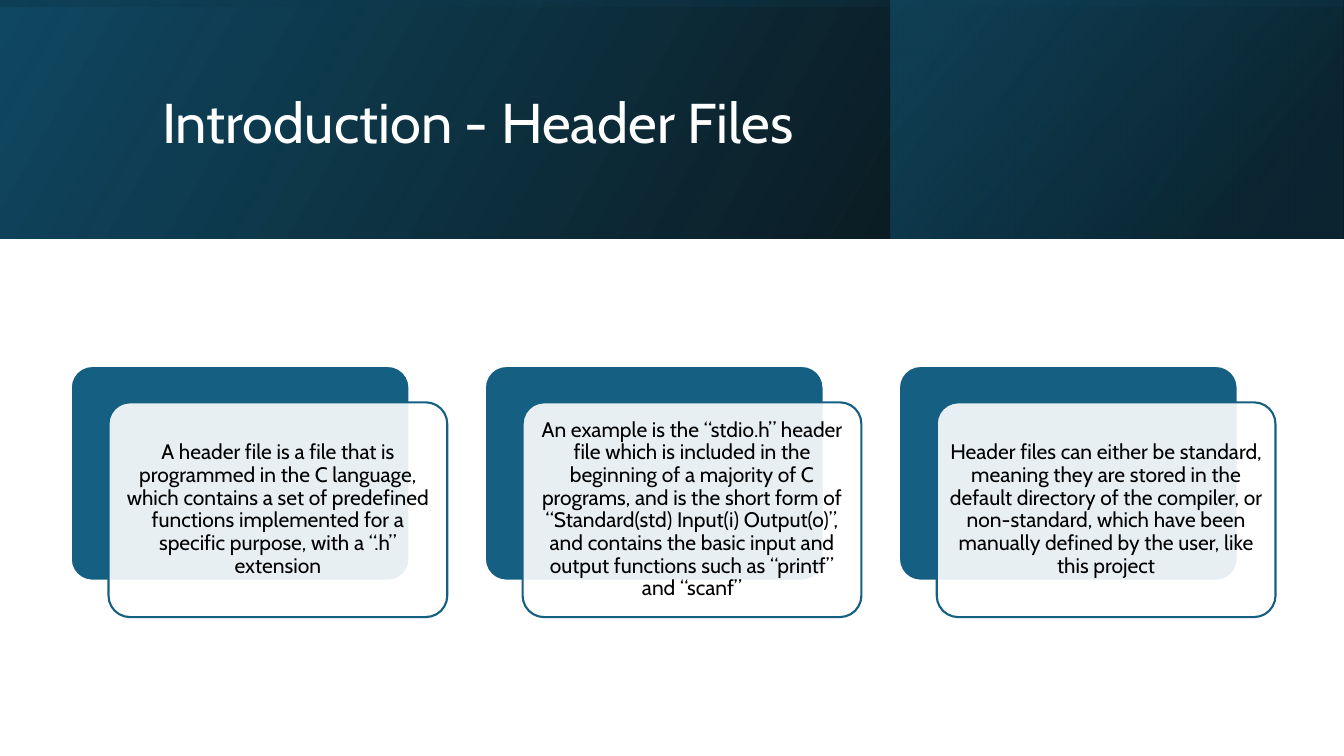
import dataclasses

import pptx
import pptx.dml.color
import pptx.enum.shapes
import pptx.enum.text
import pptx.oxml.ns
import pptx.shapes.autoshape
import pptx.util
from lxml import etree

Pt = pptx.util.Pt
Kind = pptx.enum.shapes.MSO_SHAPE
Align = pptx.enum.text.PP_ALIGN
Shape = pptx.shapes.autoshape.Shape

FONT = "Cabin"
COLORS = {
    "white": "FFFFFF",
    "black": "000000",
    "teal": "156082",
    "deep": "104862",
    "night": "0B3041",
}
WIDE, HIGH = 960, 540
BAND_HIGH = 170.6
CARD_LEFT, CARD_TOP, CARD_STEP = 50.5, 261.4, 295.8
CARD_WIDE, CARD_HIGH = 242, 153.4
SHIFT_X, SHIFT_Y = 27, 26


@dataclasses.dataclass
class Stop:
    place: float
    color: str
    alpha: int = 100


@dataclasses.dataclass
class Band:
    left: float
    width: float
    angle: float
    stops: tuple[Stop, Stop]
    turn: int = 0


BANDS = (
    Band(0, WIDE, 30, (Stop(0, "black", 96), Stop(1, "deep"))),
    Band(636.5, 322.8, 40, (Stop(0.19, "night", 68), Stop(1, "teal", 48))),
    Band(0, WIDE, 10, (Stop(0.23, "deep", 16), Stop(0.99, "black", 45)), 270),
)
CARDS = (
    "A header file is a file that is programmed in the C language, which contains "
    "a set of predefined functions implemented for a specific purpose, with a “.h” extension",
    "An example is the “stdio.h” header file which is included in the beginning of "
    "a majority of C programs, and is the short form of “Standard(std) Input(i) Output(o)”, "
    "and contains the basic input and output functions such as “printf” and “scanf”",
    "Header files can either be standard, meaning they are stored in the default "
    "directory of the compiler, or non-standard, which have been manually defined by the user, "
    "like this project",
)


def get_rgb(name: str) -> pptx.dml.color.RGBColor:
    return pptx.dml.color.RGBColor.from_string(COLORS[name])


def set_alpha(shape: Shape, *alphas: int) -> None:
    """Apply opacity percentages to the fill colours, in order, before any line is set."""
    fills = shape._element.spPr.iter(pptx.oxml.ns.qn("a:srgbClr"))
    for color, alpha in zip(list(fills), alphas):
        if alpha < 100:
            tag = pptx.oxml.ns.qn("a:alpha")
            etree.SubElement(color, tag).set("val", str(alpha * 1000))


def write_text(shape: Shape, text: str, *, size: float, color: str,
               align: Align, inset: tuple[float, float]) -> None:
    frame = shape.text_frame
    frame.word_wrap = True
    frame.auto_size = pptx.enum.text.MSO_AUTO_SIZE.NONE
    frame.vertical_anchor = pptx.enum.text.MSO_ANCHOR.MIDDLE
    frame.margin_left = frame.margin_right = Pt(inset[0])
    frame.margin_top = frame.margin_bottom = Pt(inset[1])
    line = frame.paragraphs[0]
    line.alignment = align
    line.line_spacing = 0.9
    run = line.add_run()
    run.text = text
    run.font.name = FONT
    run.font.size = Pt(size)
    run.font.color.rgb = get_rgb(color)


def draw_band(shapes, band: Band) -> None:
    """Draw a mirrored gradient band; a turned one swaps its sides about its centre."""
    width, height = band.width, BAND_HIGH
    left, top = band.left, 0
    if band.turn:
        left, top = left + (width - height) / 2, (height - width) / 2
        width, height = height, width
    shape = shapes.add_shape(Kind.RECTANGLE, Pt(left), Pt(top), Pt(width), Pt(height))
    shape.rotation = band.turn
    shape._element.spPr.xfrm.set("flipH", "1")
    shape.shadow.inherit = False
    shape.fill.gradient()
    shape.fill.gradient_angle = band.angle
    for mark, stop in zip(shape.fill.gradient_stops, band.stops):
        mark.position = stop.place
        mark.color.rgb = get_rgb(stop.color)
    set_alpha(shape, *(stop.alpha for stop in band.stops))
    shape.line.fill.background()


def draw_panel(shapes, left: float, top: float, fill: str, edge: str,
               alpha: int = 100) -> Shape:
    panel = shapes.add_shape(Kind.ROUNDED_RECTANGLE, Pt(left), Pt(top),
                             Pt(CARD_WIDE), Pt(CARD_HIGH))
    panel.adjustments[0] = 0.1
    panel.shadow.inherit = False
    panel.fill.solid()
    panel.fill.fore_color.rgb = get_rgb(fill)
    set_alpha(panel, alpha)
    panel.line.color.rgb = get_rgb(edge)
    panel.line.width = Pt(1.5)
    return panel


def draw_card(shapes, left: float, text: str) -> None:
    draw_panel(shapes, left, CARD_TOP, "teal", "white")
    front = draw_panel(shapes, left + SHIFT_X, CARD_TOP + SHIFT_Y, "white", "teal", 90)
    write_text(front, text, size=15, color="black", align=Align.CENTER, inset=(4.5, 4.5))


def main() -> None:
    deck = pptx.Presentation()
    deck.slide_width, deck.slide_height = Pt(WIDE), Pt(HIGH)
    slide = deck.slides.add_slide(deck.slide_layouts[5])
    for band in BANDS:
        draw_band(slide.shapes, band)

    title = slide.shapes.title
    title.left, title.top, title.width, title.height = Pt(108.7), Pt(27.4), Pt(765.4), Pt(123.8)
    write_text(title, "Introduction - Header Files", size=40, color="white",
               align=Align.LEFT, inset=(7.2, 3.6))
    slide.shapes._spTree.append(title._element)  # bring above the bands

    group = slide.shapes.add_group_shape()
    for index, text in enumerate(CARDS):
        draw_card(group.shapes, CARD_LEFT + index * CARD_STEP, text)
    deck.save("out.pptx")


if __name__ == "__main__":
    main()
